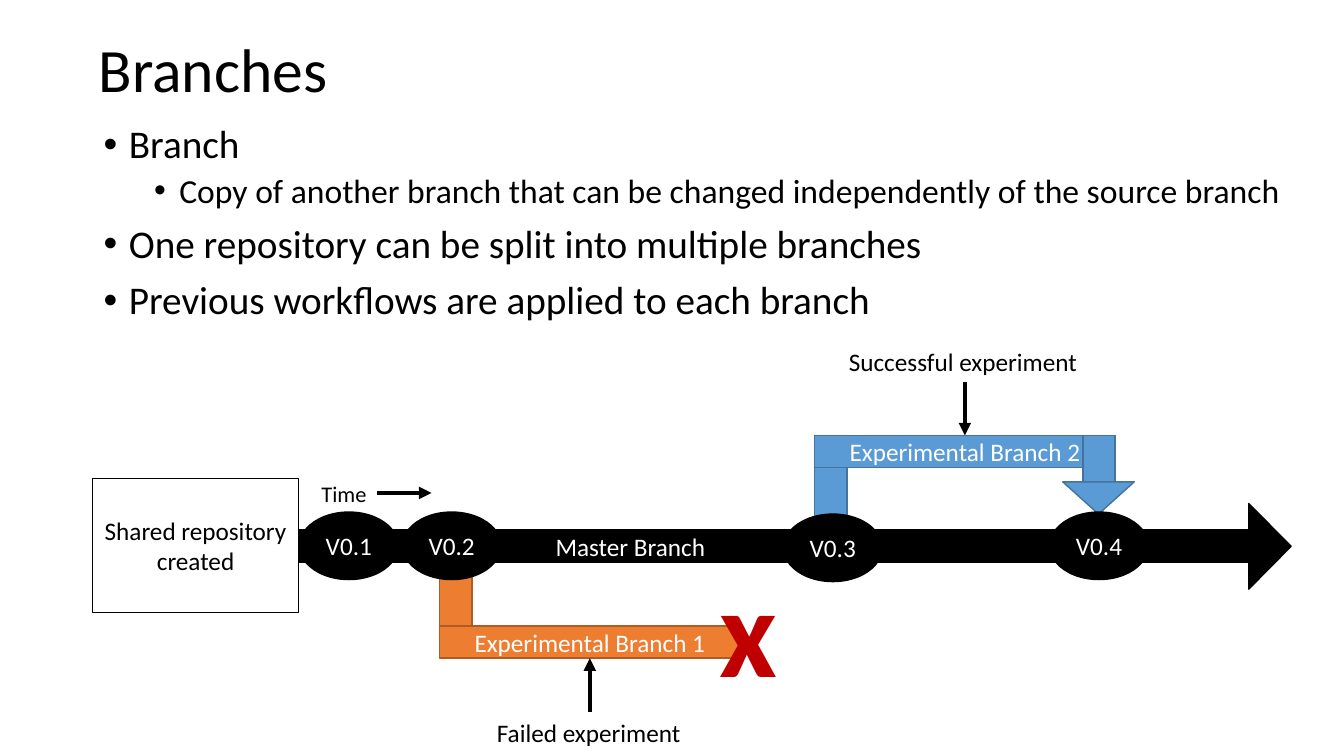
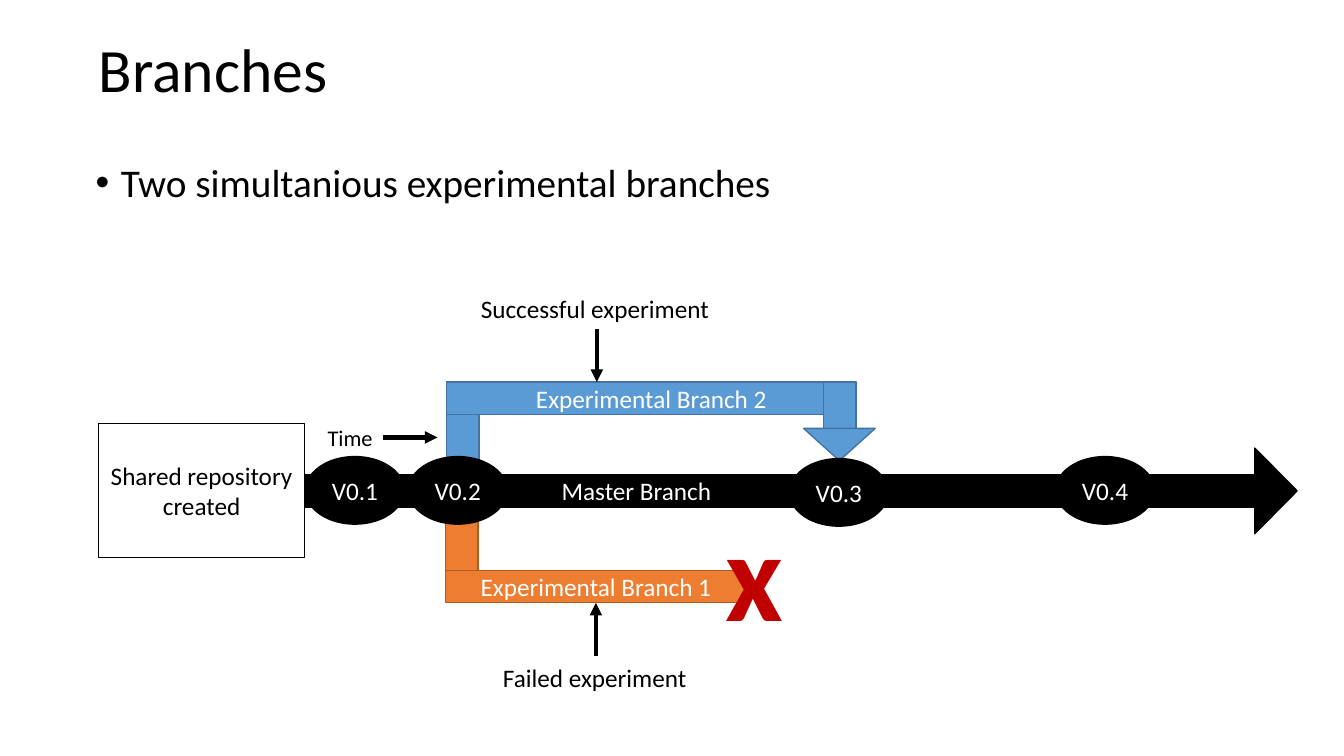
from lxml.etree import SubElement
from pptx import Presentation
from pptx.dml.color import RGBColor
from pptx.enum.shapes import MSO_CONNECTOR as Connector, MSO_SHAPE as Preset
from pptx.enum.text import MSO_ANCHOR as Anchor, PP_ALIGN as Align
from pptx.oxml.ns import qn
from pptx.util import Emu, Pt

SCALE = 9144
FONT = "Calibri"
COLORS = {
    "black": "000000",
    "white": "FFFFFF",
    "orange": "ED7D31",
    "orange_edge": "AF5C24",
    "blue": "5B9BD5",
    "blue_edge": "43739E",
    "red": "C00000",
}
BAR = 32
STEM = 94
BULLETS = {
    0: {"size": 28, "before": 10, "left": 25},
    1: {"size": 24, "before": 5, "left": 75},
}


def px(length):
    return Emu(length * SCALE)


def color(name):
    return RGBColor.from_string(COLORS[name])


def apply(target, values):
    for name, value in values.items():
        setattr(target, name, value)


def write(para, text, size, ink="black", bold=False):
    span = para.add_run()
    span.text = text
    apply(span.font, {"name": FONT, "size": Pt(size), "bold": bold})
    span.font.color.rgb = color(ink)


def place(origin, x, y, width, height):
    left, top = origin
    return px(left + x), px(top + y), px(width), px(height)


def add_box(page, preset, bounds, fill, edge, text="", ink="white", rotation=0, indent=0):
    box = page.shapes.add_shape(preset, *bounds)
    box.shadow.inherit = False
    box.rotation = rotation
    if fill:
        box.fill.solid()
        box.fill.fore_color.rgb = color(fill)
    else:
        box.fill.background()
    box.line.color.rgb = color(edge)
    box.line.width = Pt(1)
    if text:
        frame = box.text_frame
        apply(frame, {"word_wrap": True, "vertical_anchor": Anchor.MIDDLE})
        para = frame.paragraphs[0]
        para.alignment = Align.CENTER
        if indent:
            para.alignment = Align.LEFT
            frame.margin_left = px(indent)
        write(para, text, 18, ink)


def add_label(page, bounds, text, size=18, ink="black", bold=False):
    frame = page.shapes.add_textbox(*bounds).text_frame
    frame.word_wrap = False
    write(frame.paragraphs[0], text, size, ink, bold)


def add_arrow(page, origin, start, end):
    left, top = origin
    ends = [px(value) for x, y in (start, end) for value in (left + x, top + y)]
    arrow = page.shapes.add_connector(Connector.STRAIGHT, *ends)
    arrow.line.color.rgb = color("black")
    arrow.line.width = Pt(3)
    SubElement(arrow.line._get_or_add_ln(), qn("a:tailEnd"), type="triangle")
    SubElement(arrow._element.spPr, qn("a:effectLst"))


def add_title(page, text):
    title = page.shapes.title
    apply(title, dict(zip(("left", "top", "width", "height"), place((88, -1), 0, 0, 1150, 145))))
    frame = title.text_frame
    apply(frame, {"word_wrap": True, "vertical_anchor": Anchor.MIDDLE})
    para = frame.paragraphs[0]
    apply(para, {"alignment": Align.LEFT, "line_spacing": 0.9})
    write(para, text, 44)


def add_bullets(page, bounds, items):
    frame = page.shapes.add_textbox(*bounds).text_frame
    frame.word_wrap = True
    for index, (level, text) in enumerate(items):
        para = frame.add_paragraph() if index else frame.paragraphs[0]
        style = BULLETS[level]
        apply(para, {"level": level, "line_spacing": 0.9, "space_before": Pt(style["before"])})
        props = para._p.get_or_add_pPr()
        props.set("marL", str(px(style["left"])))
        props.set("indent", str(px(-25)))
        SubElement(props, qn("a:buFont"), typeface="Arial")
        SubElement(props, qn("a:buChar"), char="•")
        write(para, text, style["size"])


def add_failed_branch(page, origin):
    x, y = 344, 146
    paint = ("orange", "orange_edge")
    add_box(page, Preset.RECTANGLE, place(origin, x, y - 63, BAR, STEM), *paint)
    add_box(page, Preset.RECTANGLE, place(origin, x, y, 298, BAR), *paint, "Experimental Branch 1")
    add_label(page, place(origin, x + 47, y + 86, 204, 40), "Failed experiment")
    add_arrow(page, origin, (x + 149, y + 85), (x + 149, y + BAR))
    add_label(page, place(origin, x + 268, y - 79, 78, 162), "x", 90, "red", True)


def add_merged_branch(page, origin, x, y, width):
    paint = ("blue", "blue_edge")
    end = x + width
    add_box(page, Preset.RECTANGLE, place(origin, x, y, BAR, STEM), *paint)
    add_box(page, Preset.RECTANGLE, place(origin, x, y, width, BAR), *paint, "Experimental Branch 2")
    add_box(page, Preset.RECTANGLE, place(origin, end - BAR, y, BAR, 62), *paint)
    add_box(page, Preset.ISOSCELES_TRIANGLE, place(origin, end - 52, y + 46, 71, 32), *paint, rotation=180)
    add_label(page, place(origin, x + 24, y - 93, 249, 40), "Successful experiment")
    add_arrow(page, origin, (x + 149, y - 53), (x + 149, y))


def add_timeline(page, origin, merged):
    paint = ("black", "black")
    add_box(page, Preset.RECTANGLE, place(origin, 204, 51, 942, BAR), *paint, "Master Branch", indent=255)
    add_box(page, Preset.ISOSCELES_TRIANGLE, place(origin, 1125, 46, 85, 42), *paint, rotation=90)
    add_failed_branch(page, origin)
    add_merged_branch(page, origin, *merged)
    add_box(page, Preset.RECTANGLE, place(origin, 0, 0, 204, 133), None, "black",
            "Shared repository created", "black")
    add_label(page, place(origin, 217, -4, 65, 37), "Time", 16)
    add_arrow(page, origin, (282, 14), (336, 14))
    for number, (x, y) in enumerate([(205, 33), (307, 33), (685, 35), (949, 33)], 1):
        add_box(page, Preset.OVAL, place(origin, x, y, 98, 67), *paint, f"V0.{number}")


def add_branches_page(deck, body, items, origin, merged):
    page = deck.slides.add_slide(deck.slide_layouts[5])
    add_title(page, "Branches")
    add_bullets(page, place((0, 0), *body), items)
    add_timeline(page, origin, merged)


def main():
    deck = Presentation()
    apply(deck, {"slide_width": px(1333), "slide_height": px(750)})
    add_branches_page(deck, (93, 119, 1189, 508), [
        (0, "Branch"),
        (1, "Copy of another branch that can be changed independently of the source branch"),
        (0, "One repository can be split into multiple branches"),
        (0, "Previous workflows are applied to each branch"),
    ], (92, 475), (716, -43, 298))
    add_branches_page(deck, (85, 157, 1150, 476), [
        (0, "Two simultanious experimental branches"),
    ], (98, 420), (345, -41, 406))
    deck.save("out.pptx")


if __name__ == "__main__":
    main()
